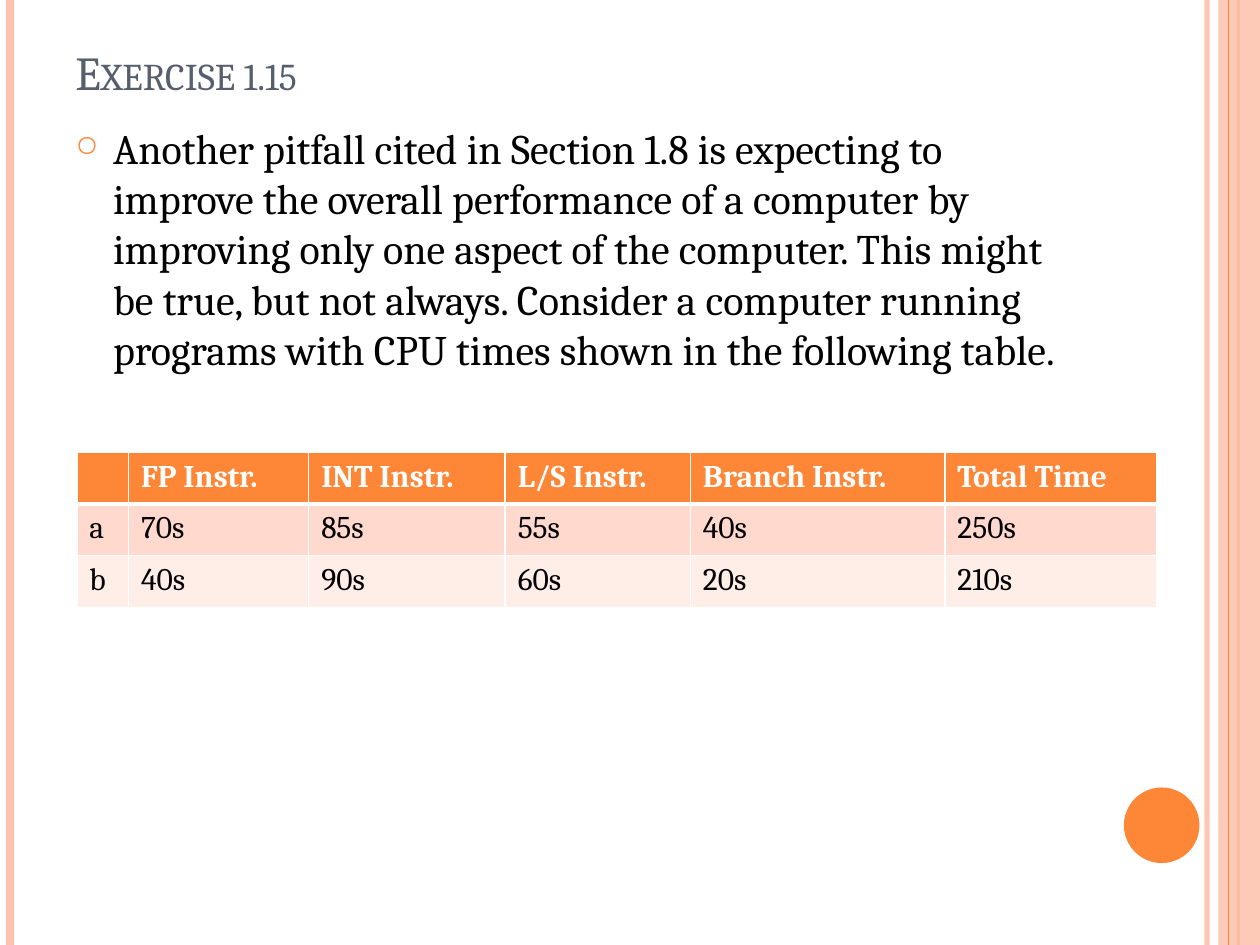
import pptx
import pptx.util
import pptx.dml.color
import pptx.enum.shapes
import pptx.enum.text
import pptx.oxml
import pptx.oxml.ns
from lxml import etree

Inches = pptx.util.Inches
Pt = pptx.util.Pt
qn = pptx.oxml.ns.qn
Kind = pptx.enum.shapes.MSO_SHAPE
Anchor = pptx.enum.text.MSO_ANCHOR

ORANGE, PEACH, WHITE, BLACK, SLATE = "FE8637", "FEC3AE", "FFFFFF", "000000", "575F6D"


def color(code):
    return pptx.dml.color.RGBColor.from_string(code)


def fade(fill, alpha):
    """Set the opacity, in percent, of a solid fill inside the given element."""
    tone = next(fill.iter(qn("a:srgbClr")))
    etree.SubElement(tone, qn("a:alpha"), val=str(alpha * 1000))


def write(frame, text, size=18, ink=BLACK, bold=False, caps=False, font="Cambria"):
    par = frame.paragraphs[0]
    run = par.add_run()
    run.text = text
    run.font.name = font
    run.font.size = Pt(size)
    run.font.bold = bold
    run.font.color.rgb = color(ink)
    if caps:
        run.font._element.set("cap", "small")
    return par


def bullet(par, mark, ink, scale, indent):
    props = par._p.get_or_add_pPr()
    props.set("marL", str(Inches(indent)))
    props.set("indent", str(-Inches(indent)))
    tone = etree.SubElement(props, qn("a:buClr"))
    etree.SubElement(tone, qn("a:srgbClr"), val=ink)
    etree.SubElement(props, qn("a:buSzPct"), val=str(scale * 1000))
    etree.SubElement(props, qn("a:buChar"), char=mark)


def border(cell, side, width):
    props = cell._tc.get_or_add_tcPr()
    line = etree.Element(qn("a:ln" + side), w=str(Pt(width)))
    solid = etree.SubElement(line, qn("a:solidFill"))
    etree.SubElement(solid, qn("a:srgbClr"), val=WHITE)
    props.insert("LRTB".index(side), line)


class Deck:
    def __init__(self, width, height):
        self.show = pptx.Presentation()
        self.show.slide_width = Inches(width)
        self.show.slide_height = Inches(height)
        self.height = height
        self.slide = self.show.slides.add_slide(self.show.slide_layouts[6])

    def rule(self, x, ink, width, alpha=100):
        """Draw a vertical line over the full height of the slide."""
        line = self.slide.shapes.add_connector(
            pptx.enum.shapes.MSO_CONNECTOR.STRAIGHT,
            Inches(x), 0, Inches(x), Inches(self.height))
        line.line.color.rgb = color(ink)
        line.line.width = Pt(width)
        props = line._element.spPr
        if alpha < 100:
            fade(props, alpha)
        etree.SubElement(props, qn("a:effectLst"))

    def shape(self, kind, box, fill, alpha=100):
        item = self.slide.shapes.add_shape(kind, *map(Inches, box))
        item.shadow.inherit = False
        item.fill.solid()
        item.fill.fore_color.rgb = color(fill)
        item.line.fill.background()
        if alpha < 100:
            fade(item._element.spPr, alpha)

    def text(self, box, text, anchor=Anchor.TOP, **style):
        frame = self.slide.shapes.add_textbox(*map(Inches, box)).text_frame
        frame.word_wrap = True
        frame.vertical_anchor = anchor
        return write(frame, text, **style)

    def table(self, left, top, widths, height, rows, fills):
        grid = self.slide.shapes.add_table(
            len(rows), len(widths), Inches(left), Inches(top),
            Inches(sum(widths)), Inches(height * len(rows))).table
        for col, width in zip(grid.columns, widths):
            col.width = Inches(width)
        for r, row in enumerate(rows):
            grid.rows[r].height = Inches(height)
            head = r == 0
            for c, text in enumerate(row):
                cell = grid.cell(r, c)
                cell.fill.solid()
                cell.fill.fore_color.rgb = color(fills[r])
                if text:
                    write(cell.text_frame, text, ink=WHITE if head else BLACK, bold=head)
                for side in "LRTB":
                    thick = (head and side == "B") or (r == 1 and side == "T")
                    border(cell, side, 3 if thick else 1)


def main():
    deck = Deck(10, 7.5)
    deck.rule(9.58, PEACH, 3, alpha=93)
    deck.rule(0.08, PEACH, 4.5)
    deck.rule(9.83, ORANGE, 1.5)
    deck.shape(Kind.RECTANGLE, (9.67, 0, 0.33, 7.5), PEACH, alpha=87)
    deck.rule(9.75, ORANGE, 0.75)
    deck.shape(Kind.OVAL, (8.92, 6.25, 0.6, 0.6), ORANGE)

    deck.text((0.5, 0.3, 8.17, 0.54), "Exercise 1.15", anchor=Anchor.BOTTOM,
              size=27, ink=SLATE, caps=True)
    body = deck.text(
        (0.5, 0.92, 8.17, 6.16),
        "Another pitfall cited in Section 1.8 is expecting to improve the overall "
        "performance of a computer by improving only one aspect of the computer. "
        "This might be true, but not always. Consider a computer running programs "
        "with CPU times shown in the following table.", size=24)
    body.space_before = Pt(6)
    bullet(body, "○", ORANGE, scale=70, indent=0.3)

    rows = [
        ["", "FP Instr.", "INT Instr.", "L/S Instr.", "Branch Instr.", "Total Time"],
        ["a", "70s", "85s", "55s", "40s", "250s"],
        ["b", "40s", "90s", "60s", "20s", "210s"],
    ]
    deck.table(0.61, 3.59, [0.41, 1.43, 1.56, 1.47, 2.02, 1.68], 0.41, rows,
               [ORANGE, "FFD9CE", "FFEDE8"])
    deck.show.save("out.pptx")


if __name__ == "__main__":
    main()
